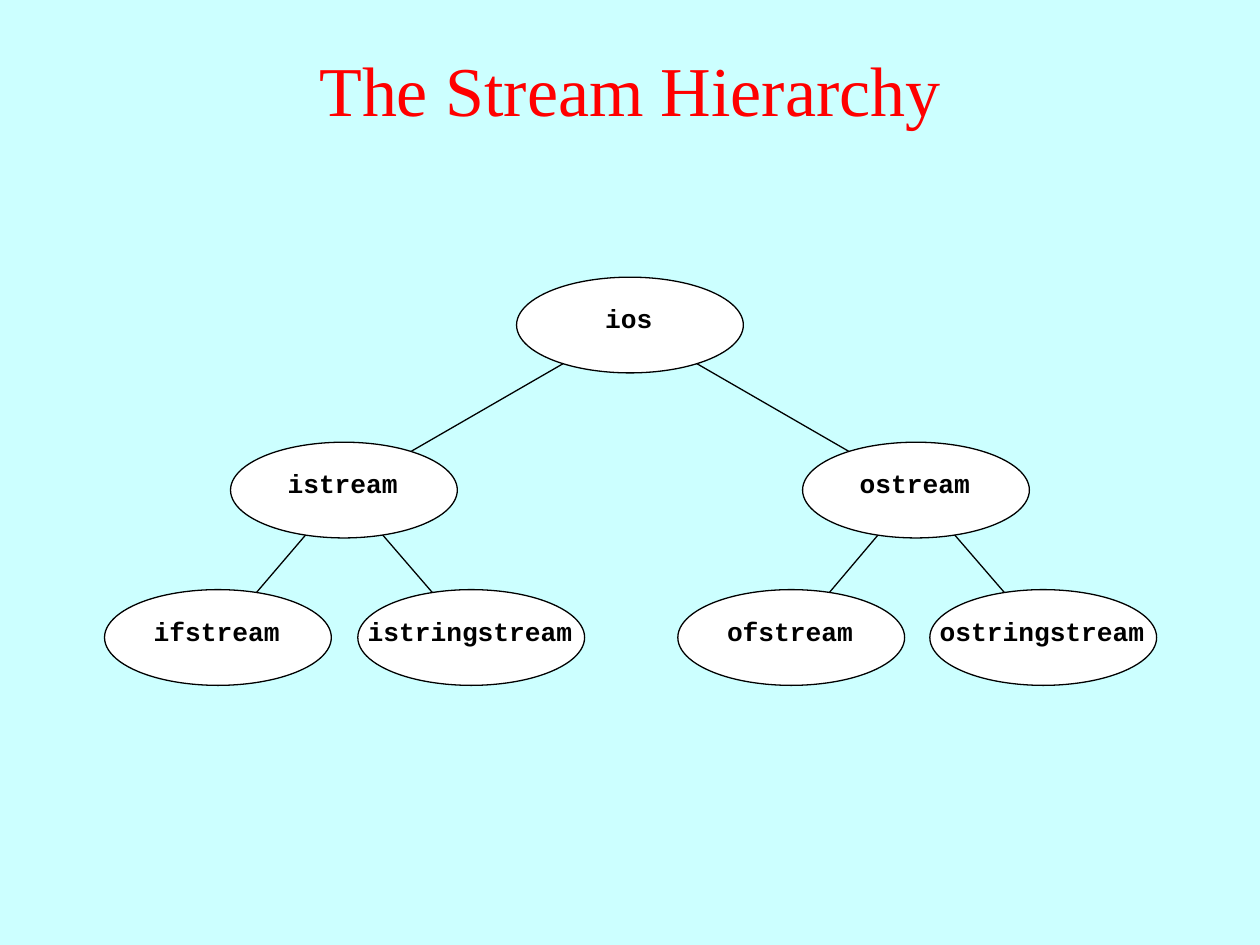
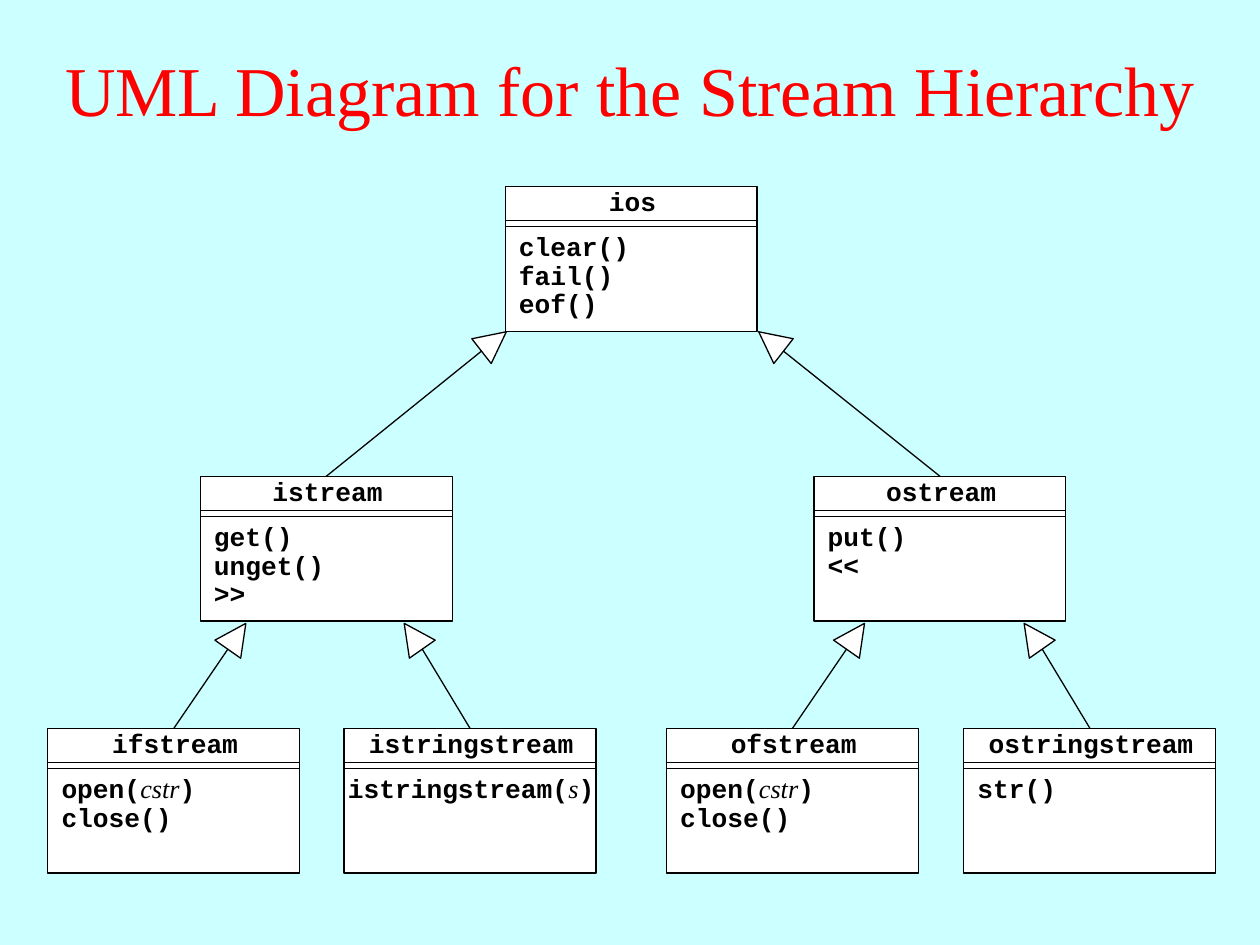
import math

import pptx
import pptx.dml.color
import pptx.enum.shapes
import pptx.enum.text
import pptx.oxml.ns
import pptx.util
from lxml import etree
from pptx.util import Inches

RGBColor = pptx.dml.color.RGBColor
MSO_SHAPE = pptx.enum.shapes.MSO_SHAPE
PP_ALIGN = pptx.enum.text.PP_ALIGN
MSO_ANCHOR = pptx.enum.text.MSO_ANCHOR

BACKGROUND = RGBColor(0xCC, 0xFF, 0xFF)
RED = RGBColor(0xFF, 0, 0)
BLACK = RGBColor(0, 0, 0)
WHITE = RGBColor(0xFF, 0xFF, 0xFF)

CODE_FONT = "Courier New"
SERIF_FONT = "Times New Roman"

PARENTS = {
    "istream": "ios",
    "ostream": "ios",
    "ifstream": "istream",
    "istringstream": "istream",
    "ofstream": "ostream",
    "ostringstream": "ostream",
}

ELLIPSE_WIDTH, ELLIPSE_HEIGHT = 1.8, 0.76
ELLIPSES = {
    "ios": (4.1, 2.2),
    "istream": (1.83, 3.51),
    "ostream": (6.37, 3.51),
    "ifstream": (0.83, 4.68),
    "istringstream": (2.84, 4.68),
    "ofstream": (5.38, 4.68),
    "ostringstream": (7.38, 4.68),
}

CLASS_WIDTH, CLASS_HEIGHT = 2, 1.15
# left, top, members; text between asterisks is a parameter name
CLASSES = {
    "ios": (4.01, 1.48, ["clear()", "fail()", "eof()"]),
    "istream": (1.59, 3.78, ["get()", "unget()", ">>"]),
    "ostream": (6.46, 3.78, ["put()", "<<"]),
    "ifstream": (0.38, 5.78, ["open(*cstr*)", "close()"]),
    "istringstream": (2.73, 5.78, ["istringstream(*s*)"]),
    "ofstream": (5.29, 5.78, ["open(*cstr*)", "close()"]),
    "ostringstream": (7.65, 5.78, ["str()"]),
}

TRIANGLE_SIZE = 0.25
# centre of the arrowhead and its rotation, by subclass
ARROWHEADS = {
    "istream": (3.92, 2.71, 52),
    "ostream": (6.12, 2.71, -52),
    "ifstream": (1.88, 5.05, 35),
    "istringstream": (3.28, 5.05, -35),
    "ofstream": (6.79, 5.05, 35),
    "ostringstream": (8.2, 5.05, -35),
}


def add_text(slide, left, top, width, height, lines, size=15, font=CODE_FONT,
             color=BLACK, bold=True, align=PP_ALIGN.LEFT, spacing=0.9,
             anchor=MSO_ANCHOR.TOP):
    """Add one paragraph per line; parts between asterisks are serif italics."""
    box = slide.shapes.add_textbox(Inches(left), Inches(top), Inches(width), Inches(height))
    frame = box.text_frame
    frame.word_wrap = True
    frame.vertical_anchor = anchor
    for index, line in enumerate(lines):
        paragraph = frame.add_paragraph() if index else frame.paragraphs[0]
        paragraph.alignment = align
        paragraph.line_spacing = spacing
        for part_index, part in enumerate(line.split("*")):
            is_parameter = part_index % 2 == 1
            run = paragraph.add_run()
            run.text = part
            run.font.size = pptx.util.Pt(size)
            run.font.name = SERIF_FONT if is_parameter else font
            run.font.bold = bold and not is_parameter
            run.font.italic = is_parameter
            run.font.color.rgb = color


def add_outlined_shape(slide, kind, left, top, width, height):
    shape = slide.shapes.add_shape(kind, Inches(left), Inches(top), Inches(width), Inches(height))
    shape.shadow.inherit = False
    shape.fill.solid()
    shape.fill.fore_color.rgb = WHITE
    shape.line.color.rgb = BLACK
    shape.line.width = pptx.util.Pt(0.75)
    return shape


def add_line(slide, start, end, weight=0.75):
    connector = slide.shapes.add_connector(
        pptx.enum.shapes.MSO_CONNECTOR.STRAIGHT, *map(Inches, (*start, *end)))
    connector.line.color.rgb = BLACK
    connector.line.width = pptx.util.Pt(weight)
    etree.SubElement(connector._element.spPr, pptx.oxml.ns.qn("a:effectLst"))
    return connector


def add_titled_slide(presentation, title):
    slide = presentation.slides.add_slide(presentation.slide_layouts[6])
    slide.background.fill.solid()
    slide.background.fill.fore_color.rgb = BACKGROUND
    add_text(slide, 0, 0.08, 10, 1.25, [title], size=40, font=SERIF_FONT, color=RED,
             bold=False, align=PP_ALIGN.CENTER, spacing=1, anchor=MSO_ANCHOR.MIDDLE)
    return slide


def ellipse_center(name):
    left, top = ELLIPSES[name]
    return left + ELLIPSE_WIDTH / 2, top + ELLIPSE_HEIGHT / 2


def add_ellipse_node(slide, name):
    left, top = ELLIPSES[name]
    add_outlined_shape(slide, MSO_SHAPE.OVAL, left, top, ELLIPSE_WIDTH, ELLIPSE_HEIGHT)
    add_text(slide, left - 0.07, top + 0.18, 1.92, 0.33, [name], align=PP_ALIGN.CENTER)


def add_class_box(slide, name):
    left, top, members = CLASSES[name]
    box = add_outlined_shape(slide, MSO_SHAPE.RECTANGLE, left, top, CLASS_WIDTH, CLASS_HEIGHT)
    for offset in (0.27, 0.32):
        add_line(slide, (left, top + offset), (left + CLASS_WIDTH, top + offset), weight=0.5)
    add_text(slide, left + 0.01, top - 0.03, CLASS_WIDTH, 0.33, [name], align=PP_ALIGN.CENTER)
    # The long constructor needs a wider, centred box
    wide = name == "istringstream"
    margin = 0.08 if wide else 0
    add_text(slide, left + 0.01 - margin, top + 0.33, CLASS_WIDTH + 2 * margin,
             0.1 + 0.23 * len(members), members,
             align=PP_ALIGN.CENTER if wide else PP_ALIGN.LEFT)
    return box


def add_inheritance_arrow(slide, name, box):
    """Run a line from the top of a subclass box to the base of its arrowhead."""
    center_x, center_y, rotation = ARROWHEADS[name]
    half = TRIANGLE_SIZE / 2
    triangle = add_outlined_shape(slide, MSO_SHAPE.ISOSCELES_TRIANGLE, center_x - half,
                                  center_y - half, TRIANGLE_SIZE, TRIANGLE_SIZE)
    triangle.rotation = rotation
    angle = math.radians(rotation)
    base = (center_x - half * math.sin(angle), center_y + half * math.cos(angle))
    left, top, _ = CLASSES[name]
    connector = add_line(slide, (left + CLASS_WIDTH / 2, top), base)
    connector.begin_connect(box, 0)


def add_hierarchy_slide(presentation):
    slide = add_titled_slide(presentation, "The Stream Hierarchy")
    for child, parent in PARENTS.items():
        add_line(slide, ellipse_center(child), ellipse_center(parent))
    for name in ELLIPSES:
        add_ellipse_node(slide, name)


def add_uml_slide(presentation):
    slide = add_titled_slide(presentation, "UML Diagram for the Stream Hierarchy")
    boxes = {name: add_class_box(slide, name) for name in CLASSES}
    for name in PARENTS:
        add_inheritance_arrow(slide, name, boxes[name])


def main():
    presentation = pptx.Presentation()
    presentation.slide_width = Inches(10)
    presentation.slide_height = Inches(7.5)
    add_hierarchy_slide(presentation)
    add_uml_slide(presentation)
    presentation.save("out.pptx")


if __name__ == "__main__":
    main()
